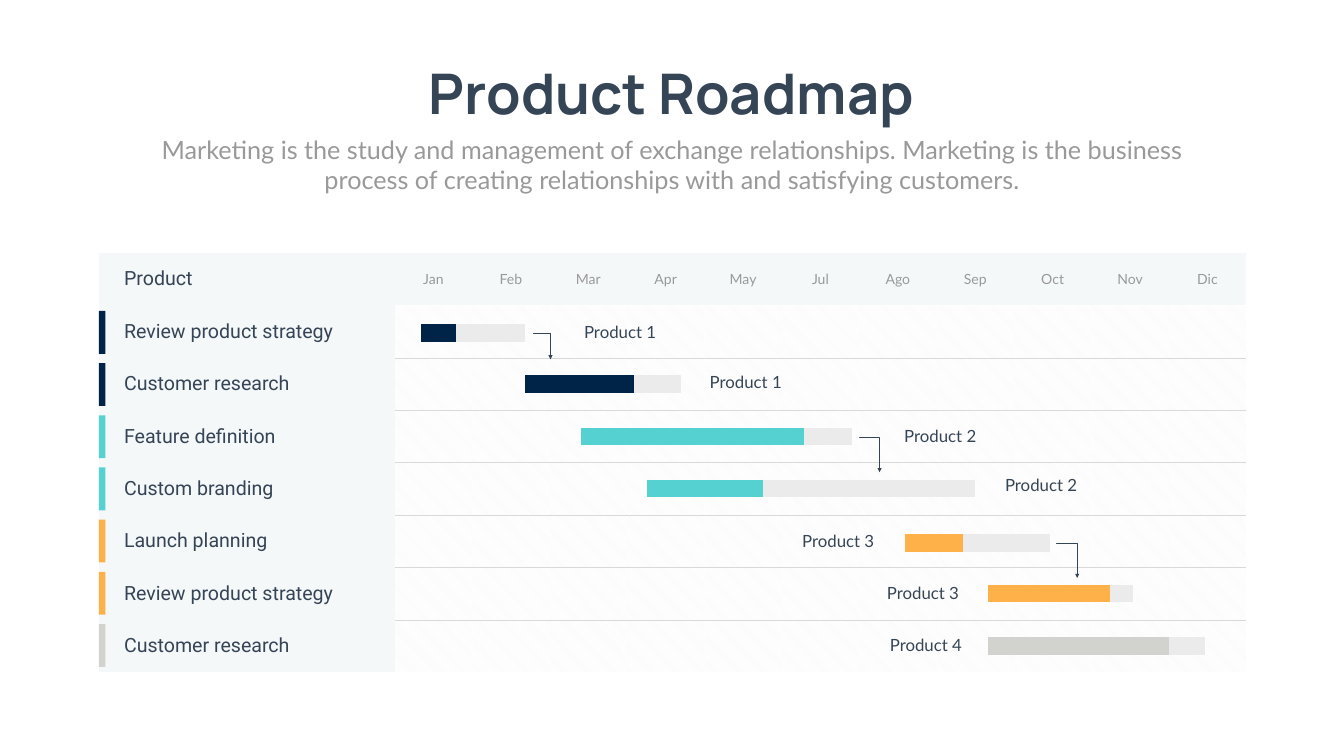
from dataclasses import dataclass

from lxml import etree
from pptx import Presentation
from pptx import util as u
from pptx.dml.color import RGBColor
from pptx.enum import dml, shapes, text
from pptx.oxml.ns import qn
from pptx.util import Cm

NAVY = RGBColor(0x00, 0x24, 0x47)
TEAL = RGBColor(0x56, 0xD1, 0xD2)
ORANGE = RGBColor(0xFE, 0xB1, 0x48)
STONE = RGBColor(0xD2, 0xD3, 0xCF)
TRACK = RGBColor(0xEB, 0xEB, 0xEB)
INK = RGBColor(0x36, 0x45, 0x56)
MUTED = RGBColor(0x99, 0x99, 0x99)
PANEL = RGBColor(0xF5, 0xF8, 0xF9)
STRIPE = RGBColor(0xF2, 0xF2, 0xF2)
WHITE = RGBColor(0xFF, 0xFF, 0xFF)
RULE = "D9D9D9"

LEFT, CENTER, RIGHT = text.PP_ALIGN.LEFT, text.PP_ALIGN.CENTER, text.PP_ALIGN.RIGHT
NO_STYLE = "{2D5ABB26-0587-4C30-8999-92F81FD0307C}"
MONTHS = ["Jan", "Feb", "Mar", "Apr", "May", "Jul", "Ago", "Sep", "Oct", "Nov", "Dic"]

# Table and marker grid, in centimetres
TABLE_LEFT, TABLE_TOP = 4.98, 12.75
NAME_WIDTH, MONTH_WIDTH, ROW_HEIGHT = 14.91, 3.9, 2.64
MARKER_TOP, MARKER_STEP = 15.67, 2.63


@dataclass
class Task:
    name: str
    color: RGBColor
    start: float
    done: float
    end: float
    middle: float
    label: str
    label_left: float
    label_top: float
    label_align: text.PP_ALIGN = LEFT


@dataclass
class Arrow:
    left: float
    top: float
    right: float
    bottom: float


TASKS = [
    Task("Review product strategy", NAVY, 21.67, 22.53, 26.01, 16.79, "Product 1", 29.18, 16.1),
    Task("Customer research", NAVY, 26.87, 31.52, 33.86, 19.35, "Product 1", 35.51, 18.59),
    Task("Feature definition", TEAL, 29.74, 40.08, 42.49, 22.0, "Product 2", 45.31, 21.31),
    Task("Custom branding", TEAL, 33.05, 38.02, 48.67, 24.61, "Product 2", 50.39, 23.8),
    Task("Launch planning", ORANGE, 46.05, 48.08, 52.45, 27.36, "Product 3", 40.08, 26.64, RIGHT),
    Task("Review product strategy", ORANGE, 50.24, 55.47, 56.64, 29.9, "Product 3", 44.35, 29.24, RIGHT),
    Task("Customer research", STONE, 50.24, 58.47, 60.3, 32.56, "Product 4", 44.5, 31.88, RIGHT),
]
ARROWS = [
    Arrow(26.87, 16.79, 27.74, 18.11),
    Arrow(43.31, 22.02, 44.32, 23.8),
    Arrow(53.24, 27.36, 54.28, 29.13),
]


def style_paragraph(paragraph, size: float, font: str, color: RGBColor, align=LEFT, bold=False) -> None:
    paragraph.alignment = align
    paragraph.font.size = u.Pt(size)
    paragraph.font.name = font
    paragraph.font.color.rgb = color
    paragraph.font.bold = bold


def add_text(slide, words: str, box: tuple, size: float, font: str, color: RGBColor,
             align=LEFT, bold=False, wrap=False) -> None:
    frame = slide.shapes.add_textbox(*map(Cm, box)).text_frame
    frame.word_wrap = wrap
    frame.auto_size = text.MSO_AUTO_SIZE.SHAPE_TO_FIT_TEXT
    frame.text = words
    style_paragraph(frame.paragraphs[0], size, font, color, align, bold)


def fill_cell(cell, words: str, margins: tuple, size: float, font: str, color: RGBColor, align=LEFT) -> None:
    cell.text = words
    cell.vertical_anchor = text.MSO_ANCHOR.MIDDLE
    cell.margin_left, cell.margin_top, cell.margin_right, cell.margin_bottom = map(Cm, margins)
    style_paragraph(cell.text_frame.paragraphs[0], size, font, color, align)
    cell.fill.solid()
    cell.fill.fore_color.rgb = PANEL


def add_border(cell, tag: str) -> None:
    border = etree.SubElement(cell._tc.get_or_add_tcPr(), qn(tag), w=str(u.Pt(0.25)))
    solid = etree.SubElement(border, qn("a:solidFill"))
    etree.SubElement(solid, qn("a:srgbClr"), val=RULE)


def add_calendar(slide) -> None:
    rows, columns = len(TASKS) + 1, len(MONTHS) + 1
    width = NAME_WIDTH + MONTH_WIDTH * len(MONTHS)
    frame = slide.shapes.add_table(rows, columns, Cm(TABLE_LEFT), Cm(TABLE_TOP),
                                   Cm(width), Cm(ROW_HEIGHT * rows))
    table = frame.table
    table.first_row = table.horz_banding = False
    table._tbl.tblPr.find(qn("a:tableStyleId")).text = NO_STYLE
    for index, column in enumerate(table.columns):
        column.width = Cm(MONTH_WIDTH if index else NAME_WIDTH)
    for row in table.rows:
        row.height = Cm(ROW_HEIGHT)

    for index, name in enumerate(["Product"] + [task.name for task in TASKS]):
        fill_cell(table.cell(index, 0), name, (1.27, 0.1, 0.18, 0.1), 28, "Roboto", INK)
    for index, month in enumerate(MONTHS, 1):
        fill_cell(table.cell(0, index), month, (0, 0.13, 0, 0.13), 20, "Lato", MUTED, CENTER)

    # Striped month cells, ruled between the tasks
    for row in range(1, rows):
        for column in range(1, columns):
            cell = table.cell(row, column)
            if row > 1:
                add_border(cell, "a:lnT")
            if row < rows - 1:
                add_border(cell, "a:lnB")
            cell.fill.patterned()
            cell.fill.pattern = dml.MSO_PATTERN.WIDE_DOWNWARD_DIAGONAL
            cell.fill.fore_color.rgb = STRIPE
            cell.fill.back_color.rgb = WHITE


def add_marker(slide, top: float, color: RGBColor) -> None:
    marker = slide.shapes.add_shape(shapes.MSO_SHAPE.RECTANGLE, Cm(TABLE_LEFT), Cm(top), Cm(0.33), Cm(2.16))
    marker.shadow.inherit = False
    marker.fill.solid()
    marker.fill.fore_color.rgb = color
    marker.line.fill.background()


def add_line(slide, kind, ends: tuple, color: RGBColor, width: float):
    connector = slide.shapes.add_connector(kind, *map(Cm, ends))
    connector.line.color.rgb = color
    connector.line.width = u.Pt(width)
    etree.SubElement(connector._element.spPr, qn("a:effectLst"))
    return connector


def add_bar(slide, start: float, end: float, middle: float, color: RGBColor) -> None:
    bar = add_line(slide, shapes.MSO_CONNECTOR.STRAIGHT, (start, middle, end, middle), color, 25)
    bar._element.spPr.find(qn("a:ln")).set("cap", "sq")


def add_arrow(slide, arrow: Arrow) -> None:
    # The elbow is laid on its side and turned, so that it ends pointing down
    across, down = arrow.right - arrow.left, arrow.bottom - arrow.top
    left = (arrow.left + arrow.right - down) / 2
    top = (arrow.top + arrow.bottom - across) / 2
    connector = add_line(slide, shapes.MSO_CONNECTOR.ELBOW, (left, top, left + down, top + across), INK, 0.5)
    properties = connector._element.spPr
    frame = properties.find(qn("a:xfrm"))
    frame.set("rot", str(270 * 60000))
    frame.set("flipH", "1")
    adjustments = properties.find(qn("a:prstGeom")).find(qn("a:avLst"))
    etree.SubElement(adjustments, qn("a:gd"), name="adj1", fmla="val 1400")
    etree.SubElement(properties.find(qn("a:ln")), qn("a:tailEnd"), type="triangle")


def main() -> None:
    presentation = Presentation()
    presentation.slide_width, presentation.slide_height = Cm(67.72), Cm(38.1)
    slide = presentation.slides.add_slide(presentation.slide_layouts[6])

    # Heading
    add_text(slide, "Product Roadmap", (20.29, 2.84, 27.1, 3.68), 80, "Manrope", INK, CENTER, bold=True)
    add_text(slide, "Marketing is the study and management of exchange relationships. Marketing is the "
             "business process of creating relationships with and satisfying customers.",
             (7.42, 6.63, 52.88, 3.33), 36, "Lato", MUTED, CENTER, wrap=True)

    # Calendar with colour markers
    add_calendar(slide)
    for index, task in enumerate(TASKS):
        add_marker(slide, MARKER_TOP + MARKER_STEP * index, task.color)

    # Progress bars, arrows and labels
    for task in TASKS:
        add_bar(slide, task.start, task.end, task.middle, TRACK)
        add_bar(slide, task.start, task.done, task.middle, task.color)
    for arrow in ARROWS:
        add_arrow(slide, arrow)
    for task in TASKS:
        add_text(slide, task.label, (task.label_left, task.label_top, 4.22, 1.27),
                 24, "Lato", INK, task.label_align)

    presentation.save("out.pptx")


if __name__ == "__main__":
    main()
